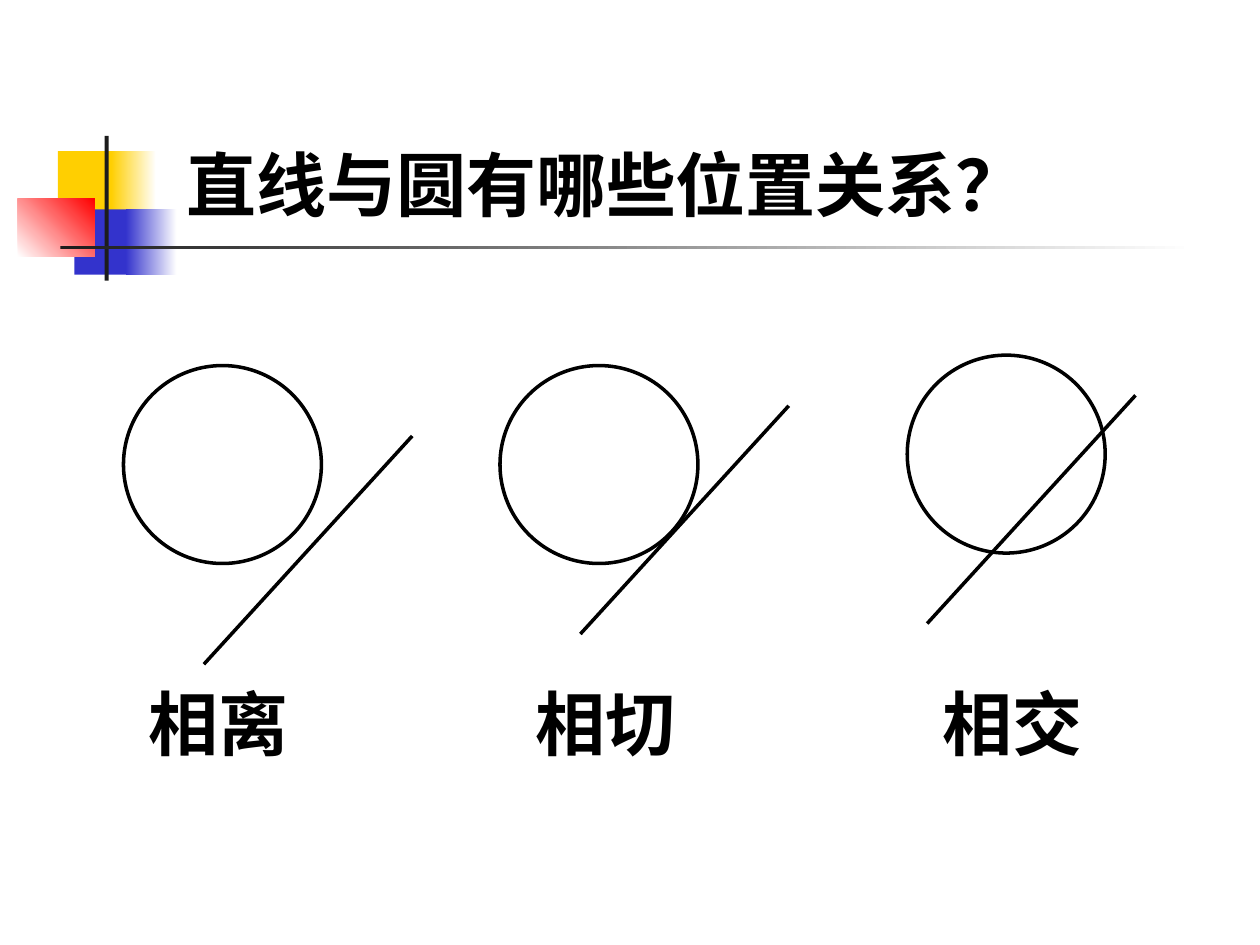
from pptx import Presentation
from pptx.dml.color import RGBColor
from pptx.enum.shapes import MSO_CONNECTOR, MSO_SHAPE
from pptx.enum.text import MSO_ANCHOR, PP_ALIGN
from pptx.oxml.ns import qn
from pptx.util import Cm, Pt
from lxml.etree import SubElement

# Content: lengths in cm
TITLE = "直线与圆有哪些位置关系？"
# label, label left, circle corner, upper right end of the line
RELATIONS = [
    ("相离", 1.91, (2.49, 7.37), (8.31, 8.79)),
    ("相切", 9.7, (10.08, 7.37), (15.9, 8.18)),
    ("相交", 17.91, (18.29, 7.16), (22.89, 7.97)),
]
# left, top, width, height, colours, gradient angle
ORNAMENTS = [
    (1.17, 3.05, 1.22, 1.32, ["FFCF01"], 0),
    (2.24, 3.05, 0.91, 1.32, ["FFCF01", "FFFFFF"], 0),
    (1.5, 4.22, 1.17, 1.32, ["3333CC"], 0),
    (2.54, 4.22, 1.02, 1.32, ["3333CC", "FFFFFF"], 0),
    (0.36, 4.01, 1.55, 1.17, ["FFFFFF", "FF0000"], 45),
    (2.11, 2.74, 0.08, 2.92, ["1C1C1C"], 0),
    (1.22, 4.95, 22.86, 0.08, ["1C1C1C", "FFFFFF"], 0),
]

# Shared sizes and formats
DIAMETER = 3.99
LINE_RUN, LINE_DROP = 4.2, 4.6
LABEL_TOP, LABEL_WIDTH, TEXT_HEIGHT = 13.59, 5.0, 1.96
INK = "000000"
FONT = {"name": "Lato", "size": Pt(40), "bold": True}
FRAME = {
    "margin_left": Cm(0.25), "margin_right": Cm(0.25),
    "margin_top": Cm(0.13), "margin_bottom": Cm(0.13),
    "word_wrap": True, "vertical_anchor": MSO_ANCHOR.TOP,
}


def apply(target, formats):
    for name, value in formats.items():
        setattr(target, name, value)


def paint(color, value):
    color.rgb = RGBColor.from_string(value)


def write(frame, words, alignment):
    apply(frame, FRAME)
    frame.text = words
    paragraph = frame.paragraphs[0]
    paragraph.alignment = alignment
    apply(paragraph.runs[0].font, FONT)
    paint(paragraph.runs[0].font.color, INK)


def outline(mark):
    paint(mark.line.color, INK)
    mark.line.width = Pt(2)


def add_ornament(shapes, left, top, width, height, colours, angle):
    block = shapes.add_shape(MSO_SHAPE.RECTANGLE, Cm(left), Cm(top), Cm(width), Cm(height))
    block.shadow.inherit = False
    block.line.fill.background()
    if len(colours) == 1:
        block.fill.solid()
        paint(block.fill.fore_color, colours[0])
    else:
        block.fill.gradient()
        block.fill.gradient_angle = angle
        for stop, colour in zip(block.fill.gradient_stops, colours):
            paint(stop.color, colour)


def add_relation(shapes, label, label_left, corner, line_end):
    circle = shapes.add_shape(MSO_SHAPE.OVAL, Cm(corner[0]), Cm(corner[1]),
                              Cm(DIAMETER), Cm(DIAMETER))
    circle.shadow.inherit = False
    circle.fill.background()
    outline(circle)

    x, y = line_end
    straight = shapes.add_connector(MSO_CONNECTOR.STRAIGHT, Cm(x), Cm(y),
                                    Cm(x - LINE_RUN), Cm(y + LINE_DROP))
    outline(straight)
    SubElement(straight._element.spPr, qn("a:effectLst"))

    caption = shapes.add_textbox(Cm(label_left), Cm(LABEL_TOP), Cm(LABEL_WIDTH), Cm(TEXT_HEIGHT))
    write(caption.text_frame, label, PP_ALIGN.CENTER)


def main():
    presentation = Presentation()
    apply(presentation, {"slide_width": Cm(25.4), "slide_height": Cm(19.05)})
    slide = presentation.slides.add_slide(presentation.slide_layouts[5])

    # Ornament beside and below the title
    for ornament in ORNAMENTS:
        add_ornament(slide.shapes, *ornament)

    # Title
    title = slide.shapes.title
    apply(title, {"left": Cm(3.51), "top": Cm(2.72),
                  "width": Cm(19.81), "height": Cm(TEXT_HEIGHT)})
    write(title.text_frame, TITLE, PP_ALIGN.LEFT)

    # Circle, line and label for each relation
    for relation in RELATIONS:
        add_relation(slide.shapes, *relation)

    presentation.save("out.pptx")


if __name__ == "__main__":
    main()
